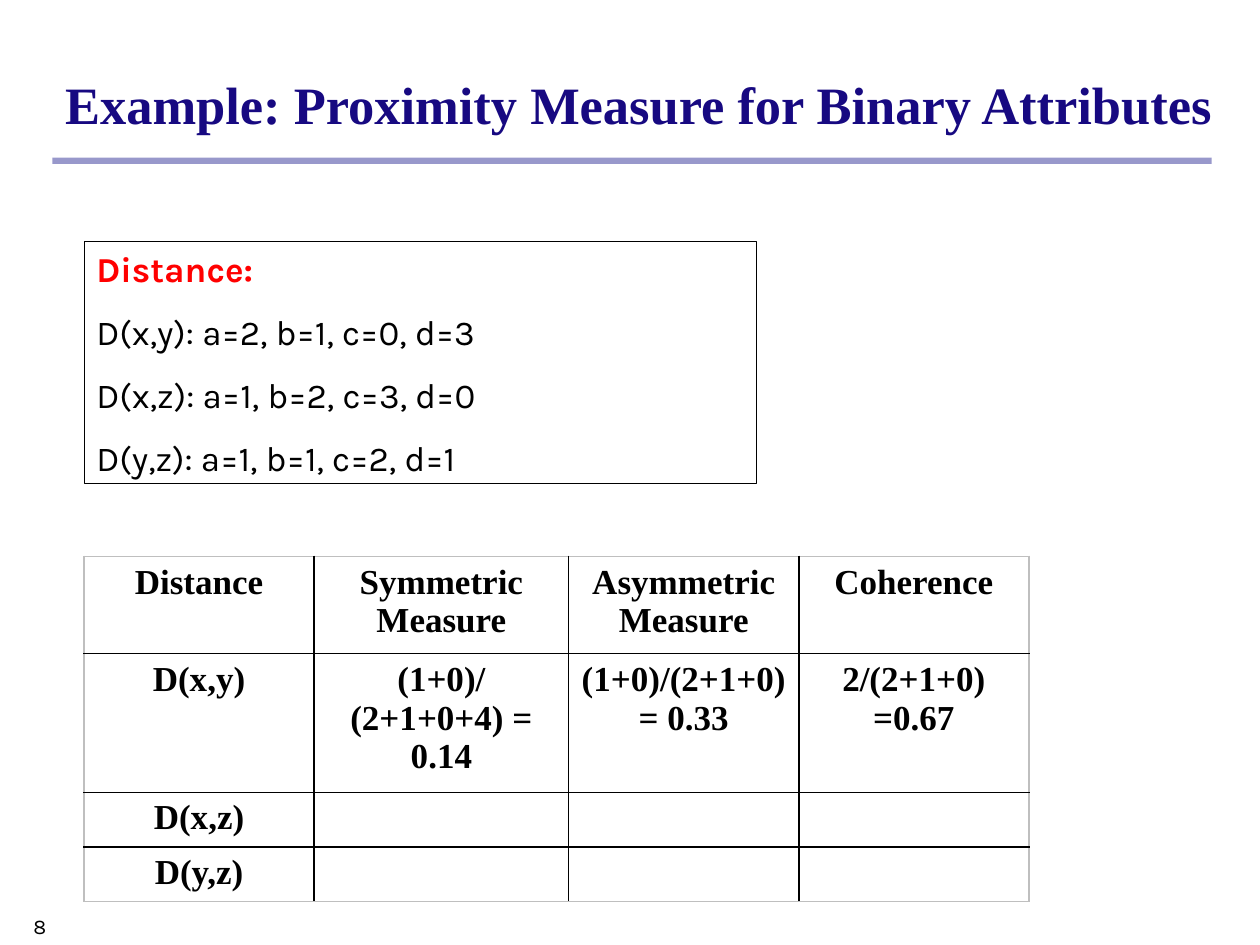
import dataclasses
import typing

import lxml.etree
import pptx
import pptx.dml.color
import pptx.enum.shapes
import pptx.enum.text
import pptx.oxml.ns
import pptx.util

Pt = pptx.util.Pt
qn = pptx.oxml.ns.qn
Align = pptx.enum.text.PP_ALIGN
Anchor = pptx.enum.text.MSO_ANCHOR

HUES = {"ink": "000000", "head": "170981", "mark": "FF0000",
        "bar": "333399", "edge": "BFBFBF"}
SERIF, SANS = "Times New Roman", "Karla"


@dataclasses.dataclass(frozen=True)
class Box:
    """Place and size in points."""
    left: float
    top: float
    width: float
    height: float

    def span(self) -> list:
        """Return the four lengths for a shape call."""
        return [Pt(side) for side in dataclasses.astuple(self)]


@dataclasses.dataclass(frozen=True)
class Line:
    """One paragraph with its look."""
    text: str
    size: float = 20
    face: str = SANS
    hue: str = "ink"
    bold: bool = False
    form: dict = dataclasses.field(default_factory=dict)


def color(hue: str) -> pptx.dml.color.RGBColor:
    """Look up a named colour."""
    return pptx.dml.color.RGBColor.from_string(HUES[hue])


def apply(item: typing.Any, form: dict) -> None:
    """Set each attribute in a dict of format values."""
    for name, value in form.items():
        setattr(item, name, value)


def write(frame: typing.Any, lines: list[Line]) -> None:
    """Fill a text frame with paragraphs."""
    for rank, line in enumerate(lines):
        para = frame.paragraphs[0] if rank == 0 else frame.add_paragraph()
        apply(para, line.form)
        run = para.add_run()
        run.text = line.text
        apply(run.font, {"size": Pt(line.size), "name": line.face, "bold": line.bold})
        run.font.color.rgb = color(line.hue)


def add_bar(slide: typing.Any, box: Box) -> None:
    """Draw the half-clear rule below the title."""
    bar = slide.shapes.add_shape(pptx.enum.shapes.MSO_SHAPE.RECTANGLE, *box.span())
    bar.shadow.inherit = False
    bar.line.fill.background()
    bar.fill.solid()
    bar.fill.fore_color.rgb = color("bar")
    tint = bar.fill._xPr.find(".//" + qn("a:srgbClr"))
    lxml.etree.SubElement(tint, qn("a:alpha"), val="50000")


def add_text(slide: typing.Any, box: Box, lines: list[Line], form: dict) -> typing.Any:
    """Add a wrapped text box."""
    shape = slide.shapes.add_textbox(*box.span())
    apply(shape.text_frame, {"word_wrap": True, **form})
    write(shape.text_frame, lines)
    return shape


def edge(cell: typing.Any, side: str, hue: str) -> None:
    """Add one border line to a cell."""
    line = lxml.etree.SubElement(cell._tc.get_or_add_tcPr(), qn("a:ln" + side),
                                 w=str(Pt(1)))
    fill = lxml.etree.SubElement(line, qn("a:solidFill"))
    lxml.etree.SubElement(fill, qn("a:srgbClr"), val=HUES[hue])


def add_grid(slide: typing.Any, box: Box, cols: list[float], rows: list[float],
             data: list[list[str]]) -> None:
    """Add the table, with grey outer and black inner borders."""
    table = slide.shapes.add_table(len(rows), len(cols), *box.span()).table
    apply(table, {"first_row": False, "horz_banding": False})
    for col, width in zip(table.columns, cols):
        col.width = Pt(width)
    for y, (row, height) in enumerate(zip(table.rows, rows)):
        row.height = Pt(height)
        for x, cell in enumerate(row.cells):
            outer = {"L": x == 0, "R": x == len(cols) - 1,
                     "T": y == 0, "B": y == len(rows) - 1}
            for side, rim in outer.items():
                edge(cell, side, "edge" if rim else "ink")
            cell.fill.background()
            if x < len(data[y]):
                write(cell.text_frame,
                      [Line(text, face=SERIF, bold=True, form={"alignment": Align.CENTER})
                       for text in data[y][x].split("\n")])


def main() -> None:
    """Build and save the slide."""
    deck = pptx.Presentation()
    apply(deck, {"slide_width": Pt(720), "slide_height": Pt(540)})
    slide = deck.slides.add_slide(deck.slide_layouts[5])

    title = slide.shapes.title
    apply(title, dict(zip(("left", "top", "width", "height"),
                          Box(30, 35, 678, 48).span())))
    apply(title.text_frame, {"vertical_anchor": Anchor.MIDDLE, "word_wrap": True,
                             "auto_size": pptx.enum.text.MSO_AUTO_SIZE.NONE})
    write(title.text_frame, [Line("Example: Proximity Measure for Binary Attributes",
                                  30, SERIF, "head", True, {"alignment": Align.LEFT})])

    add_bar(slide, Box(30, 90, 662.4, 3.6))
    add_text(slide, Box(12, 498, 150, 42), [Line("8", 12)],
             {"vertical_anchor": Anchor.BOTTOM})

    sums = ["D(x,y): a=2, b=1, c=0, d=3", "D(x,z): a=1, b=2, c=3, d=0",
            "D(y,z): a=1, b=1, c=2, d=1"]
    frame = add_text(slide, Box(48, 138, 384, 138),
                     [Line("Distance:", hue="mark", bold=True)]
                     + [Line(text, form={"line_spacing": 1.5}) for text in sums],
                     {"vertical_anchor": Anchor.TOP})
    frame.line.color.rgb = color("ink")
    frame.line.width = Pt(0.25)

    data = [["Distance", "Symmetric\nMeasure", "Asymmetric\nMeasure", "Coherence"],
            ["D(x,y)", "(1+0)/(2+1+0+4) = 0.14", "(1+0)/(2+1+0) = 0.33",
             "2/(2+1+0)\n=0.67"],
            ["D(x,z)"], ["D(y,z)"]]
    add_grid(slide, Box(48, 318, 540, 173), [131.5, 145.5, 131.5, 131.5],
             [55.5, 55.5, 31, 31], data)
    deck.save("out.pptx")


main()
